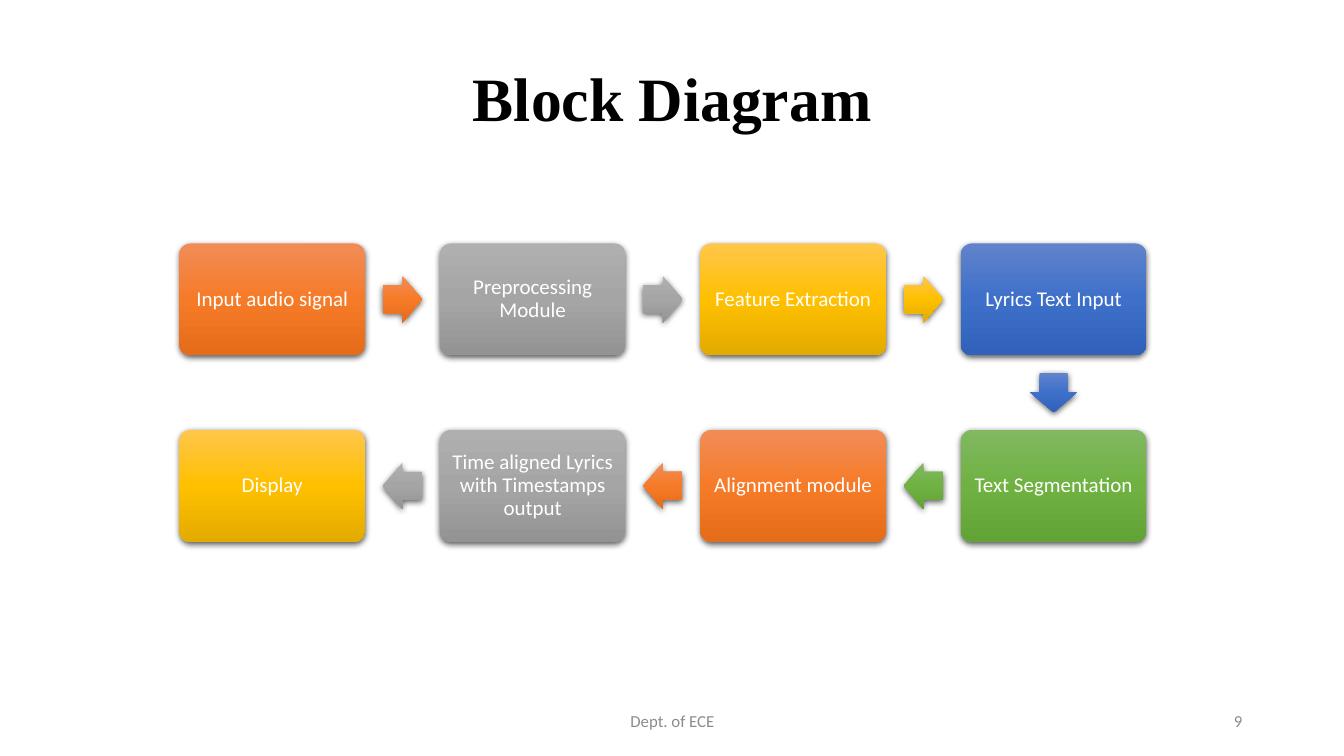
import copy
from typing import NamedTuple

import pptx
import pptx.util
from pptx.dml.color import RGBColor
from pptx.enum.shapes import MSO_SHAPE
from pptx.enum.text import MSO_ANCHOR, PP_ALIGN
from pptx.oxml import parse_xml
from pptx.oxml.ns import nsdecls, qn

WHITE = RGBColor(0xFF, 0xFF, 0xFF)
BLACK = RGBColor(0x00, 0x00, 0x00)
FOOTER_GREY = RGBColor(0x8C, 0x8C, 0x8C)

# Gradients from top to bottom
ORANGE = (RGBColor(0xF1, 0x8C, 0x57), RGBColor(0xF6, 0x7B, 0x28), RGBColor(0xE5, 0x6C, 0x19))
GREY = (RGBColor(0xAF, 0xAF, 0xAF), RGBColor(0xA5, 0xA5, 0xA5), RGBColor(0x93, 0x93, 0x93))
GOLD = (RGBColor(0xFF, 0xC6, 0x4B), RGBColor(0xFF, 0xC0, 0x00), RGBColor(0xE3, 0xAB, 0x00))
BLUE = (RGBColor(0x61, 0x83, 0xCB), RGBColor(0x3E, 0x70, 0xCA), RGBColor(0x30, 0x62, 0xBB))
GREEN = (RGBColor(0x81, 0xB8, 0x61), RGBColor(0x6F, 0xB2, 0x42), RGBColor(0x62, 0xA3, 0x36))

# Grid in inches: centre of the first step and distance between centres
SLIDE_W, SLIDE_H = 13.33, 7.5
FIRST_X, FIRST_Y = 2.7, 2.97
COLUMN, ROW = 7.75 / 3, 1.85
STEP_W, STEP_H = 1.84, 1.11
ARROW_W, ARROW_H = 0.39, 0.46


class Step(NamedTuple):
    label: str
    column: int
    row: int
    gradient: tuple[RGBColor, RGBColor, RGBColor]


class Footer(NamedTuple):
    text: str
    left: float
    width: float
    align: PP_ALIGN


STEPS = [
    Step("Input audio signal", 0, 0, ORANGE),
    Step("Preprocessing Module", 1, 0, GREY),
    Step("Feature Extraction", 2, 0, GOLD),
    Step("Lyrics Text Input", 3, 0, BLUE),
    Step("Text Segmentation", 3, 1, GREEN),
    Step("Alignment module", 2, 1, ORANGE),
    Step("Time aligned Lyrics with Timestamps output", 1, 1, GREY),
    Step("Display", 0, 1, GOLD),
]
FOOTERS = [
    Footer("Dept. of ECE", 4.42, 4.5, PP_ALIGN.CENTER),
    Footer("9", 9.42, 3, PP_ALIGN.RIGHT),
]
ROTATIONS = {(1, 0): 0, (0, 1): 90, (-1, 0): 180}


def format_text(frame, size: float, color: RGBColor, align: PP_ALIGN,
                font: str = "Calibri", bold: bool = False) -> None:
    frame.word_wrap = True
    frame.vertical_anchor = MSO_ANCHOR.MIDDLE
    paragraph = frame.paragraphs[0]
    paragraph.alignment = align
    for run in paragraph.runs:
        run.font.size = pptx.util.Pt(size)
        run.font.name = font
        run.font.bold = bold
        run.font.color.rgb = color


def add_block(slide, kind: MSO_SHAPE, column: float, row: float,
              width: float, height: float, gradient: tuple):
    """Add a shaded shape centred on a grid position."""
    block = slide.shapes.add_shape(
        kind,
        pptx.util.Inches(FIRST_X + column * COLUMN - width / 2),
        pptx.util.Inches(FIRST_Y + row * ROW - height / 2),
        pptx.util.Inches(width), pptx.util.Inches(height))
    block.line.fill.background()

    # Three-stop gradient that stays upright when the shape turns
    block.fill.gradient()
    block.fill.gradient_angle = 270
    grad_fill = block._element.spPr.find(qn("a:gradFill"))
    grad_fill.set("rotWithShape", "0")
    stops = grad_fill.find(qn("a:gsLst"))
    stops.insert(1, copy.deepcopy(stops[0]))
    for stop, position, color in zip(block.fill.gradient_stops, (0, 0.5, 1), gradient):
        stop.position = position
        stop.color.rgb = color

    # Soft shadow below
    block.shadow.inherit = False
    block._element.spPr.find(qn("a:effectLst")).append(parse_xml(
        f'<a:outerShdw {nsdecls("a")} blurRad="57150" dist="19050" dir="5400000" '
        'algn="ctr" rotWithShape="0"><a:srgbClr val="000000"><a:alpha val="63000"/>'
        '</a:srgbClr></a:outerShdw>'))
    return block


def add_step(slide, step: Step) -> None:
    box = add_block(slide, MSO_SHAPE.ROUNDED_RECTANGLE, step.column, step.row,
                    STEP_W, STEP_H, step.gradient)
    box.adjustments[0] = 0.1
    frame = box.text_frame
    frame.margin_left = frame.margin_right = pptx.util.Inches(0.09)
    frame.margin_top = frame.margin_bottom = pptx.util.Inches(0.09)
    frame.text = step.label
    format_text(frame, 15, WHITE, PP_ALIGN.CENTER)
    frame.paragraphs[0].line_spacing = 0.9


def add_arrow(slide, start: Step, end: Step) -> None:
    arrow = add_block(slide, MSO_SHAPE.RIGHT_ARROW, (start.column + end.column) / 2,
                      (start.row + end.row) / 2, ARROW_W, ARROW_H, start.gradient)
    arrow.adjustments[0] = 0.6
    arrow.adjustments[1] = 0.5
    arrow.rotation = ROTATIONS[end.column - start.column, end.row - start.row]


def add_footer(slide, footer: Footer) -> None:
    box = slide.shapes.add_textbox(
        pptx.util.Inches(footer.left), pptx.util.Inches(6.95),
        pptx.util.Inches(footer.width), pptx.util.Inches(0.4))
    box.text_frame.text = footer.text
    format_text(box.text_frame, 12, FOOTER_GREY, footer.align)


def main() -> None:
    deck = pptx.Presentation()
    deck.slide_width = pptx.util.Inches(SLIDE_W)
    deck.slide_height = pptx.util.Inches(SLIDE_H)
    slide = deck.slides.add_slide(deck.slide_layouts[5])

    # Title
    title = slide.shapes.title
    title.left, title.top = pptx.util.Inches(0.92), pptx.util.Inches(0.28)
    title.width, title.height = pptx.util.Inches(11.5), pptx.util.Inches(1.45)
    title.text_frame.text = "Block Diagram"
    format_text(title.text_frame, 44, BLACK, PP_ALIGN.CENTER, "Times New Roman", bold=True)
    title.text_frame.paragraphs[0].line_spacing = 0.9

    # Steps and the arrows between them
    for step in STEPS:
        add_step(slide, step)
    for start, end in zip(STEPS, STEPS[1:]):
        add_arrow(slide, start, end)

    # Department and page number
    for footer in FOOTERS:
        add_footer(slide, footer)

    deck.save("out.pptx")


if __name__ == "__main__":
    main()
